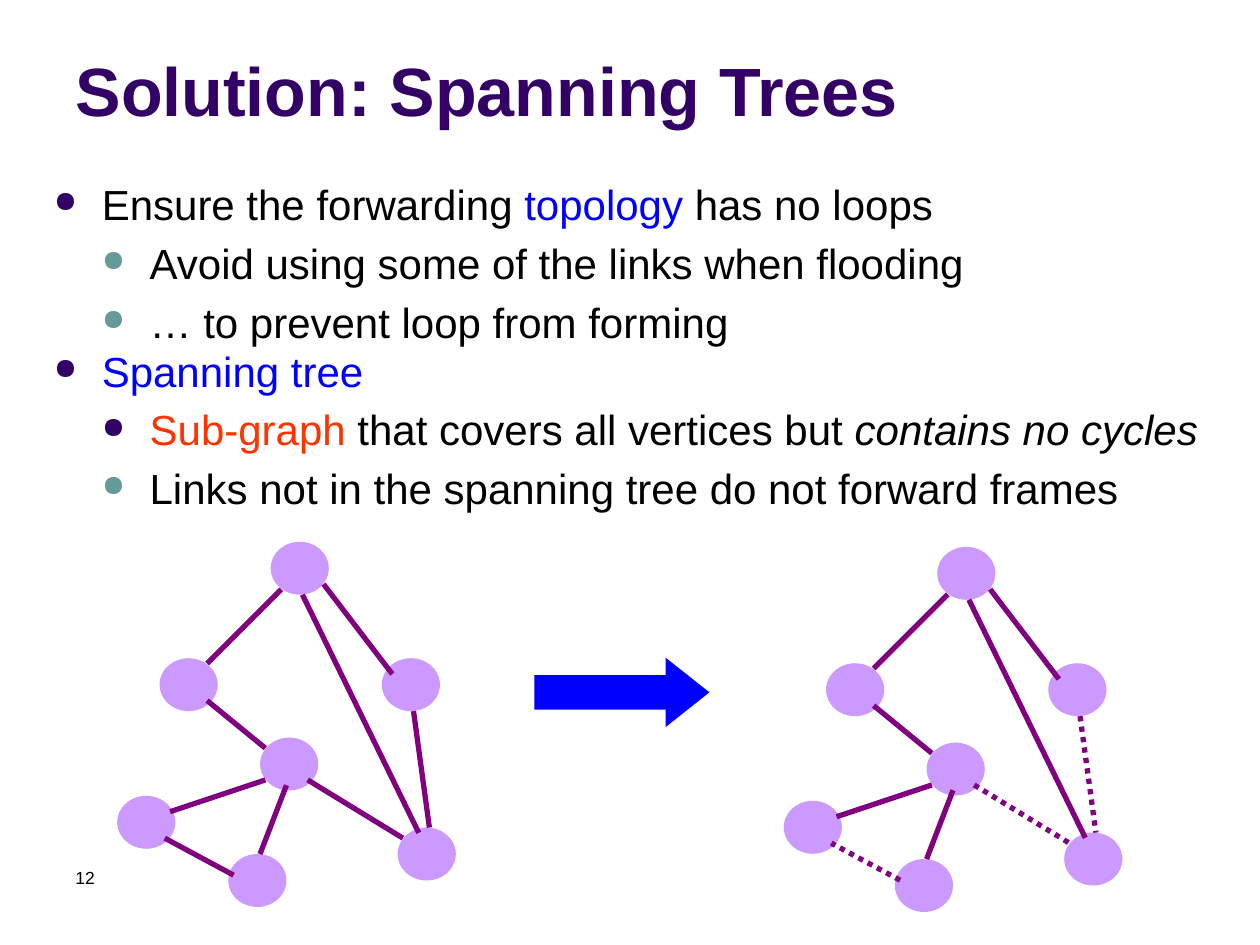
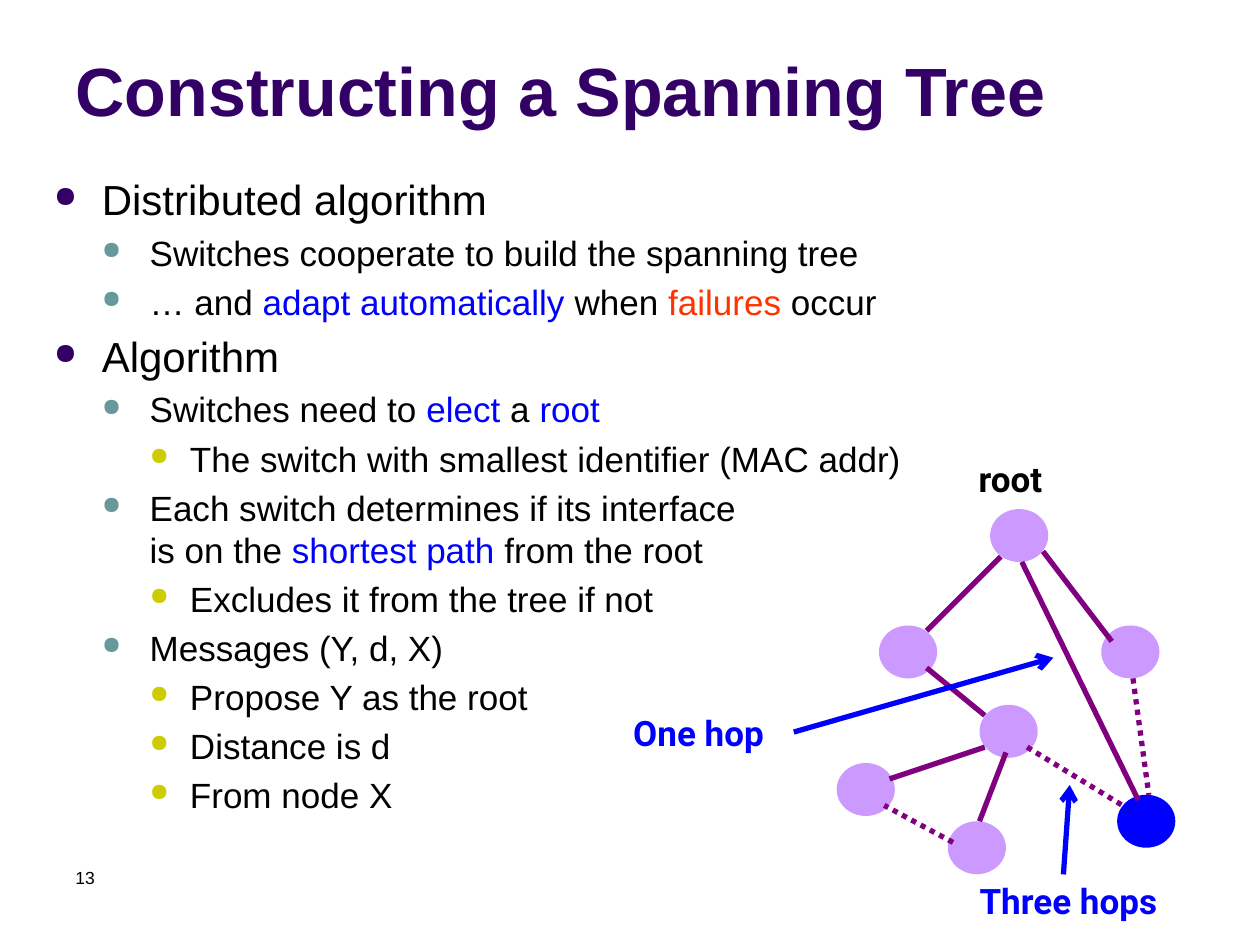
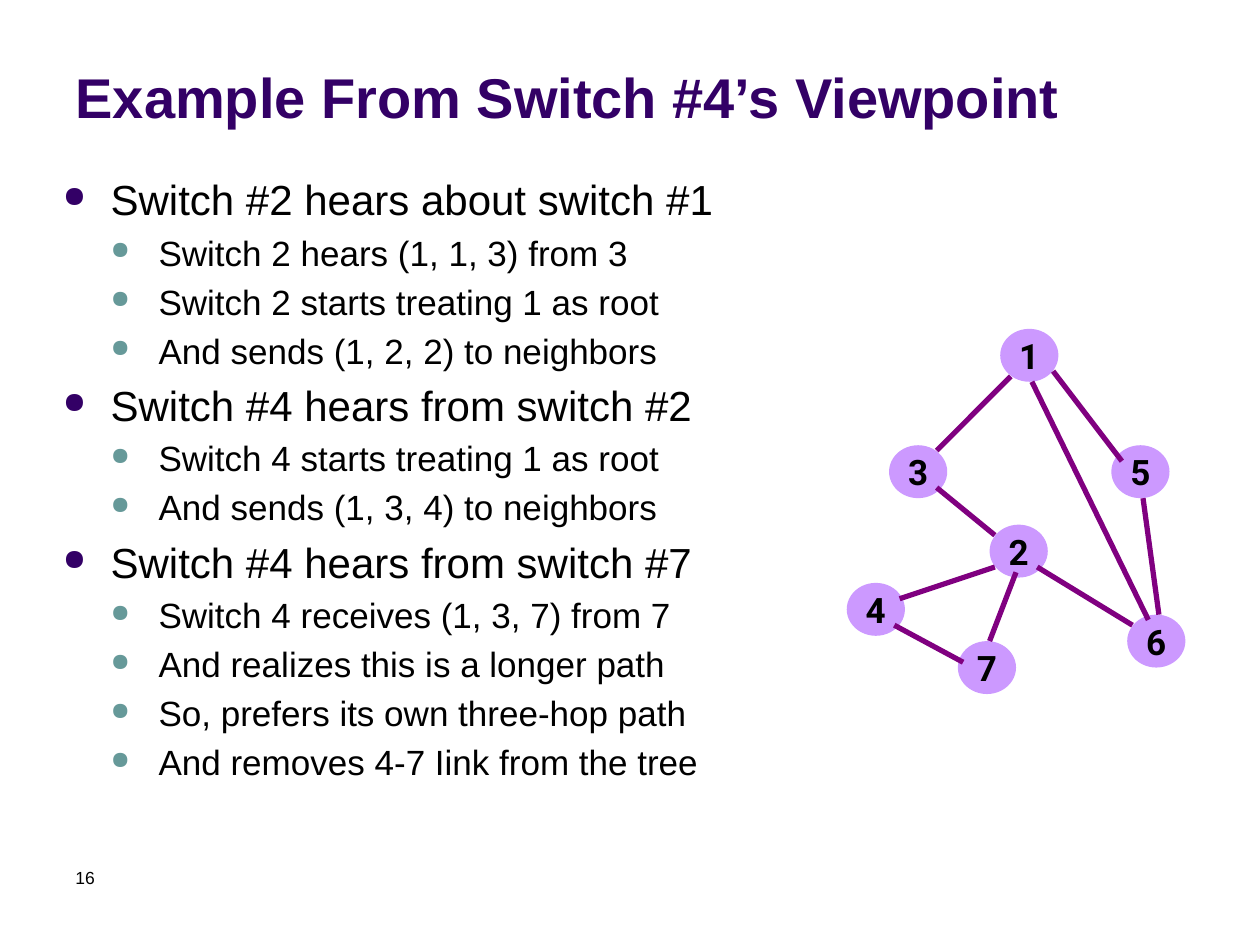
"""Build three slides on spanning trees in switched networks."""
from lxml import etree
from pptx import Presentation
from pptx.dml.color import RGBColor as RGB
from pptx.enum.dml import MSO_LINE as Dash
from pptx.enum.shapes import MSO_CONNECTOR as Link, MSO_SHAPE as Shape
from pptx.enum.text import MSO_ANCHOR as Anchor, MSO_AUTO_SIZE as Fit, PP_ALIGN as Align
from pptx.oxml import parse_xml
from pptx.oxml.ns import nsdecls, qn
from pptx.util import Inches, Pt

HUES = {
    "plum": "330066", "teal": "669999", "olive": "CCCC00", "black": "000000",
    "blue": "0000FF", "red": "FF3300", "lilac": "CC99FF", "purple": "800080",
}
INK = {name: RGB.from_string(code) for name, code in HUES.items()}
MARKS = {"~": "blue", "!": "red", "/": "black"}
STYLES = {
    "main": (0.38, 0.38, "plum"),
    "tight": (0.38, 0.38, "plum"),
    "sub": (0.76, 0.38, "teal"),
    "dark": (0.76, 0.38, "plum"),
    "deep": (1.08, 0.32, "olive"),
}

UNIT = Inches(0.42) / 10
NODES = {1: (29, 0), 3: (8, 22), 5: (50, 22), 2: (27, 37), 6: (53, 54), 4: (0, 48), 7: (21, 59)}
EDGES = {
    (1, 3): (31, 9, 17, 23),
    (1, 5): (39, 8, 52, 25),
    (3, 2): (17, 30, 28, 39),
    (2, 6): (36, 45, 54, 56),
    (5, 6): (56, 32, 59, 54),
    (1, 6): (35, 10, 57, 55),
    (4, 2): (10, 51, 28, 45),
    (7, 2): (27, 59, 32, 46),
    (7, 4): (22, 63, 9, 56),
}
CUT = [(2, 6), (5, 6), (7, 4)]

SLIDES = [
    {
        "title": "Solution: Spanning Trees", "size": 39, "page": "12",
        "box": (0.33, 1.37, 9.5, 3.05), "small": 24,
        "rows": [
            ("main", "Ensure the forwarding |~topology| has no loops"),
            ("sub", "Avoid using some of the links when flooding"),
            ("sub", "… to prevent loop from forming"),
            ("tight", "|~Spanning tree"),
            ("dark", "|!Sub-graph| that covers all vertices but |/contains no cycles"),
            ("sub", "Links not in the spanning tree do not forward frames"),
        ],
        "graphs": [(0.93, 4.3, [], None), (6.22, 4.34, CUT, None)],
    },
    {
        "title": "Constructing a Spanning Tree", "size": 39, "page": "13",
        "box": (0.33, 1.33, 9, 4.82), "small": 20,
        "rows": [
            ("main", "Distributed algorithm"),
            ("sub", "Switches cooperate to build the spanning tree"),
            ("sub", "… and |~adapt automatically| when |!failures| occur"),
            ("main", "Algorithm"),
            ("sub", "Switches need to |~elect| a |~root"),
            ("deep", "The switch with smallest identifier (MAC addr)"),
            ("sub", "Each switch determines if its interface |\n|is on the |~shortest path| from the root"),
            ("deep", "Excludes it from the tree if not"),
            ("sub", "Messages (Y, d, X)"),
            ("deep", "Propose Y as the root"),
            ("deep", "Distance is d"),
            ("deep", "From node X"),
        ],
        "graphs": [(6.64, 4.04, CUT, 6)],
        "notes": [
            ("root", "black", 7.65, 3.58, 0.74),
            ("One hop", "blue", 4.88, 5.6, 1.33),
            ("Three hops", "blue", 7.63, 6.93, 1.7),
        ],
        "hints": [(6.3, 5.81, 8.36, 5.22), (8.44, 6.94, 8.49, 6.23)],
    },
    {
        "title": "Example From Switch #4’s Viewpoint", "size": 32, "page": "16",
        "box": (0.4, 1.33, 6.35, 6), "small": 20,
        "rows": [
            ("main", "Switch #2 hears about switch #1"),
            ("sub", "Switch 2 hears (1, 1, 3) from 3"),
            ("sub", "Switch 2 starts treating 1 as root"),
            ("sub", "And sends (1, 2, 2) to neighbors"),
            ("main", "Switch #4 hears from switch #2"),
            ("sub", "Switch 4 starts treating 1 as root"),
            ("sub", "And sends (1, 3, 4) to neighbors"),
            ("main", "Switch #4 hears from switch #7"),
            ("sub", "Switch 4 receives (1, 3, 7) from 7"),
            ("sub", "And realizes this is a longer path"),
            ("sub", "So, prefers its own three-hop path"),
            ("sub", "And removes 4-7 Iink from the tree"),
        ],
        "graphs": [(6.72, 2.61, [], None)],
        "named": True,
    },
]


def write(frame, text, size, hue, face="Arial", bold=False, align=Align.LEFT):
    """Set one line of text and format it."""
    frame.text = text
    para = frame.paragraphs[0]
    para.alignment = align
    font = para.runs[0].font
    font.name, font.size, font.bold = face, Pt(size), bold
    font.color.rgb = INK[hue]


def join(slide, ends, hue):
    """Draw a straight line between two points."""
    line = slide.shapes.add_connector(Link.STRAIGHT, *[int(end) for end in ends])
    line.line.color.rgb = INK[hue]
    line.line.width = Pt(3)
    etree.SubElement(line._element.spPr, qn("a:effectLst"))
    return line


deck = Presentation()
deck.slide_width, deck.slide_height = Inches(10), Inches(7.5)

for data in SLIDES:
    slide = deck.slides.add_slide(deck.slide_layouts[5])
    shapes = slide.shapes

    title = shapes.title
    title.left, title.top, title.width, title.height = map(Inches, (0.5, 0.13, 9, 0.95))
    write(title.text_frame, data["title"], data["size"], "plum", bold=True)
    title.text_frame.vertical_anchor = Anchor.BOTTOM
    title.text_frame.auto_size = Fit.NONE

    page = shapes.add_textbox(*map(Inches, (0.5, 6.83, 2.33, 0.5)))
    write(page.text_frame, data["page"], 10, "black")

    body = shapes.add_textbox(*map(Inches, data["box"])).text_frame
    body.word_wrap = True
    for i, (style, text) in enumerate(data["rows"]):
        para = body.add_paragraph() if i else body.paragraphs[0]
        left, hang, dot = STYLES[style]
        if style == "tight":
            para.line_spacing = 0.8
        props = para._p.get_or_add_pPr()
        props.set("marL", str(Inches(left)))
        props.set("indent", str(-Inches(hang)))
        for part in (
            '<a:spcBef {}><a:spcPct val="20000"/></a:spcBef>',
            '<a:buClr {}><a:srgbClr val="' + HUES[dot] + '"/></a:buClr>',
            '<a:buSzPct {} val="70000"/>',
            '<a:buChar {} char="●"/>',
        ):
            props.append(parse_xml(part.format(nsdecls("a"))))
        for piece in filter(None, text.split("|")):
            if piece == "\n":
                para.add_line_break()
                continue
            mark = piece[0]
            run = para.add_run()
            run.text = piece[1:] if mark in MARKS else piece
            font = run.font
            font.name = "Arial"
            font.size = Pt(24 if style in ("main", "tight") else data["small"])
            font.italic = mark == "/"
            font.color.rgb = INK[MARKS.get(mark, "black")]

    for x, y, cut, far in data["graphs"]:
        x, y = Inches(x), Inches(y)
        for key, (col, row) in NODES.items():
            node = shapes.add_shape(Shape.OVAL, int(x + col * UNIT), int(y + row * UNIT),
                                    int(11 * UNIT), int(10 * UNIT))
            node.shadow.inherit = False
            node.fill.solid()
            node.fill.fore_color.rgb = INK["blue" if key == far else "lilac"]
            node.line.fill.background()
            if data.get("named"):
                frame = node.text_frame
                write(frame, str(key), 20, "black", "Roboto", True, Align.CENTER)
                frame.word_wrap = False
                frame.vertical_anchor = Anchor.MIDDLE
        for pair, (ax, ay, bx, by) in EDGES.items():
            edge = join(slide, (x + ax * UNIT, y + ay * UNIT, x + bx * UNIT, y + by * UNIT), "purple")
            if pair in cut:
                edge.line.dash_style = Dash.ROUND_DOT

    if len(data["graphs"]) == 2:
        arrow = shapes.add_shape(Shape.RIGHT_ARROW, *map(Inches, (4.24, 5.22, 1.39, 0.55)))
        arrow.adjustments[1] = 0.63
        arrow.shadow.inherit = False
        arrow.fill.solid()
        arrow.fill.fore_color.rgb = INK["blue"]
        arrow.line.fill.background()

    for text, hue, left, top, width in data.get("notes", []):
        note = shapes.add_textbox(*map(Inches, (left, top, width, 0.43))).text_frame
        write(note, text, 20, hue, "Roboto", True, Align.CENTER)
        note.word_wrap = False

    for ends in data.get("hints", []):
        hint = join(slide, map(Inches, ends), "blue")
        etree.SubElement(hint.line._get_or_add_ln(), qn("a:tailEnd"), type="arrow")

deck.save("out.pptx")
